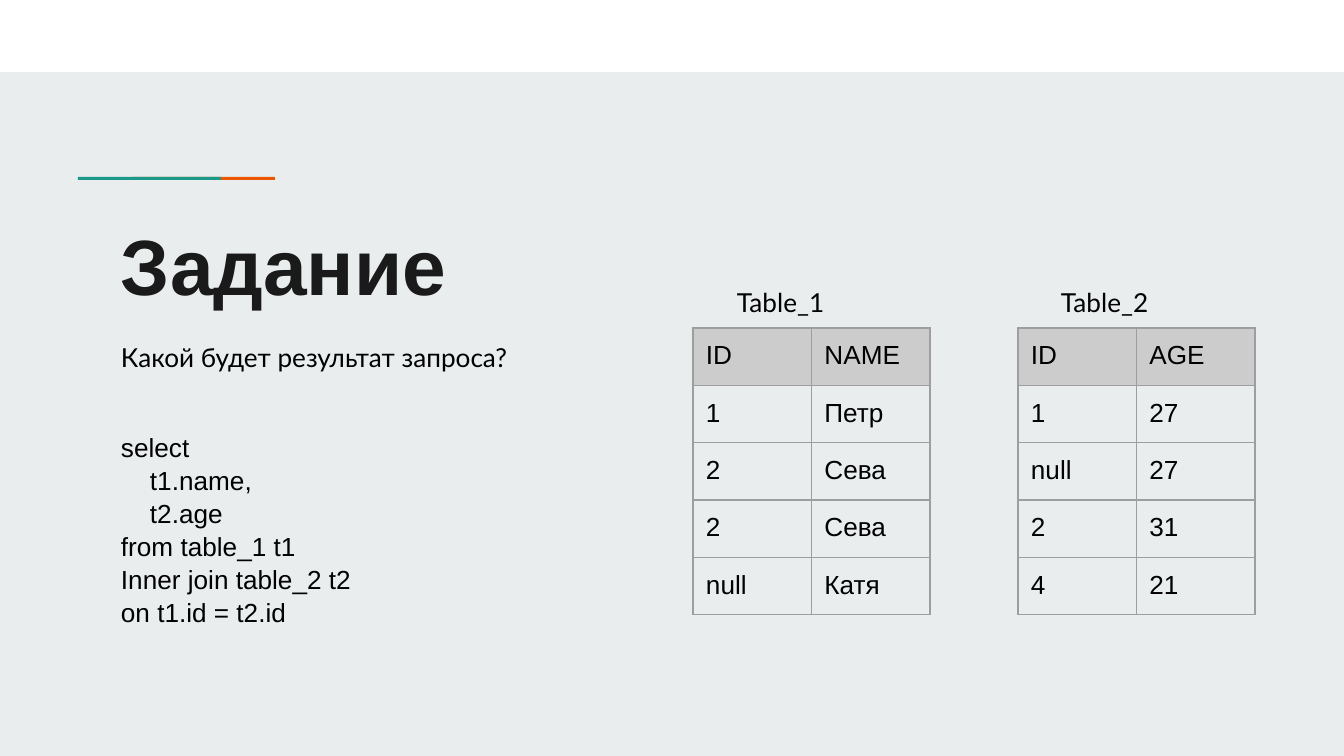
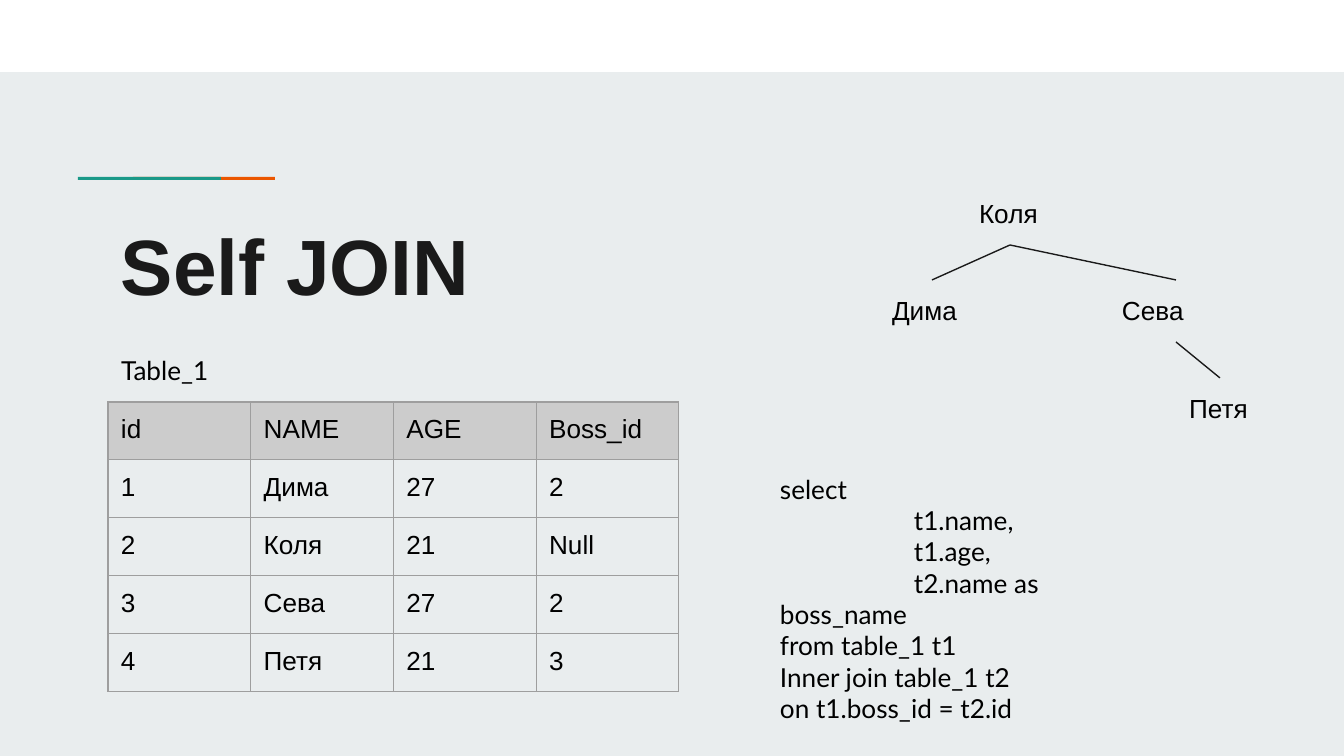
import pptx
import pptx.util
import pptx.dml.color
import pptx.enum.shapes
import pptx.enum.text
import pptx.oxml.ns
from lxml import etree

# Content; boxes are (left, top, width, height) in px
TASK = {
    "title": ("Задание", 407),
    "tables": [
        ((693, 328, 237), (56, 56), [
            ("ID", "NAME"), ("1", "Петр"), ("2", "Сева"),
            ("2", "Сева"), ("null", "Катя")]),
        ((1018, 328, 237), (56, 56), [
            ("ID", "AGE"), ("1", "27"), ("null", "27"),
            ("2", "31"), ("4", "21")]),
    ],
    "labels": [
        ((108, 328, 418, 89), "Какой будет результат запроса?"),
        ((724, 273, 176, 42), "Table_1"),
        ((1048, 273, 176, 42), "Table_2"),
    ],
    "code": ((108, 417, 312, 199), "Arial", 1.05, [
        (0, "select"), (29, "t1.name,"), (29, "t2.age"),
        (0, "from table_1 t1"), (0, "Inner join table_2 t2"),
        (0, "on t1.id = t2.id")]),
    "people": {},
    "bosses": [],
}
SELF = {
    "title": ("Self JOIN", 461),
    "tables": [
        ((108, 402, 571), (56, 58), [
            ("id", "NAME", "AGE", "Boss_id"), ("1", "Дима", "27", "2"),
            ("2", "Коля", "21", "Null"), ("3", "Сева", "27", "2"),
            ("4", "Петя", "21", "3")]),
    ],
    "labels": [((108, 341, 177, 46), "Table_1")],
    "code": ((767, 460, 409, 292), "Lato", 1.0, [
        (0, "select"), (134, "t1.name,"), (134, "t1.age,"),
        (134, "t2.name as boss_name"), (0, "from table_1 t1"),
        (0, "Inner join table_1 t2"), (0, "on t1.boss_id = t2.id")]),
    "people": {
        "Коля": (966, 183, 88, 62), "Дима": (879, 280, 106, 62),
        "Сева": (1109, 280, 134, 62), "Петя": (1176, 378, 88, 62)},
    "bosses": [("Коля", "Дима"), ("Коля", "Сева"), ("Сева", "Петя")],
}

# Shared look
HEX = {"back": "E9EDEE", "band": "FFFFFF", "orange": "EB5600",
       "teal": "1A9988", "title": "1A1A1A", "text": "000000",
       "head": "CCCCCC", "grid": "9E9E9E"}
BARS = [((0, 0, 1344, 72), "band"), ((133, 177, 142, 3), "orange"),
        ((78, 177, 143, 3), "teal")]
PAD = 13


def px(num):
    return pptx.util.Emu(round(num * 914400 / 134.4))


def tint(name):
    return pptx.dml.color.RGBColor.from_string(HEX[name])


def style(para, face, size=14, tone="text", bold=False):
    for run in para.runs:
        font = run.font
        font.name, font.size, font.bold = face, pptx.util.Pt(size), bold
        font.color.rgb = tint(tone)


def add_text(slide, box, lines, face, space=1.0, **look):
    shape = slide.shapes.add_textbox(*map(px, box))
    frame = shape.text_frame
    frame.word_wrap = True
    frame.vertical_anchor = pptx.enum.text.MSO_ANCHOR.TOP
    frame.margin_left = frame.margin_right = px(PAD)
    frame.margin_top = frame.margin_bottom = px(PAD)
    frame.text = "\n".join(text for _, text in lines)
    for para, (indent, _) in zip(frame.paragraphs, lines):
        para.line_spacing = space
        if indent:
            para._p.get_or_add_pPr().set("indent", str(px(indent)))
        style(para, face, **look)
    return shape


def add_grid(slide, place, heights, rows):
    left, top, width = place
    first, rest = heights
    tall = first + rest * (len(rows) - 1)
    table = slide.shapes.add_table(
        len(rows), len(rows[0]), *map(px, (left, top, width, tall))).table
    table.first_row = table.horz_banding = False
    for col in table.columns:
        col.width = px(width / len(rows[0]))
    for r, row in enumerate(rows):
        table.rows[r].height = px(rest if r else first)
        for c, text in enumerate(row):
            cell = table.cell(r, c)
            cell.margin_left = cell.margin_right = px(PAD)
            cell.margin_top = cell.margin_bottom = px(PAD)
            cell.text_frame.text = text
            style(cell.text_frame.paragraphs[0], "Arial")
            edge(cell)
            if r:
                cell.fill.background()
            else:
                cell.fill.solid()
                cell.fill.fore_color.rgb = tint("head")


def edge(cell):
    qn = pptx.oxml.ns.qn
    props = cell._tc.get_or_add_tcPr()
    for side in ("lnL", "lnR", "lnT", "lnB"):
        line = etree.SubElement(props, qn("a:" + side),
                                w=str(pptx.util.Pt(0.75)))
        fill = etree.SubElement(line, qn("a:solidFill"))
        etree.SubElement(fill, qn("a:srgbClr"), val=HEX["grid"])


def link(slide, boss, aide):
    line = slide.shapes.add_connector(
        pptx.enum.shapes.MSO_CONNECTOR.STRAIGHT, 0, 0, 0, 0)
    line.begin_connect(boss, 2)
    line.end_connect(aide, 0)
    line.line.color.rgb = tint("title")
    line.line.width = pptx.util.Pt(0.75)
    etree.SubElement(line._element.spPr, pptx.oxml.ns.qn("a:effectLst"))


def build(deck, page):
    slide = deck.slides.add_slide(deck.slide_layouts[6])
    slide.background.fill.solid()
    slide.background.fill.fore_color.rgb = tint("back")

    # Band and accent bars
    for box, tone in BARS:
        bar = slide.shapes.add_shape(
            pptx.enum.shapes.MSO_SHAPE.RECTANGLE, *map(px, box))
        bar.shadow.inherit = False
        bar.fill.solid()
        bar.fill.fore_color.rgb = tint(tone)
        bar.line.fill.background()

    # Title and tables
    title, width = page["title"]
    add_text(slide, (108, 195, width, 107), [(0, title)], "Arial", 1.1,
             size=42, tone="title", bold=True)
    for place, heights, rows in page["tables"]:
        add_grid(slide, place, heights, rows)

    # Tree of people
    nodes = {name: add_text(slide, box, [(0, name)], "Arial", 1.05)
             for name, box in page["people"].items()}
    for boss, aide in page["bosses"]:
        link(slide, nodes[boss], nodes[aide])

    # Labels and query
    for box, text in page["labels"]:
        add_text(slide, box, [(0, text)], "Lato")
    box, face, space, lines = page["code"]
    add_text(slide, box, lines, face, space)


def main():
    deck = pptx.Presentation()
    deck.slide_width, deck.slide_height = px(1344), px(756)
    for page in (TASK, SELF):
        build(deck, page)
    deck.save("out.pptx")


if __name__ == "__main__":
    main()
